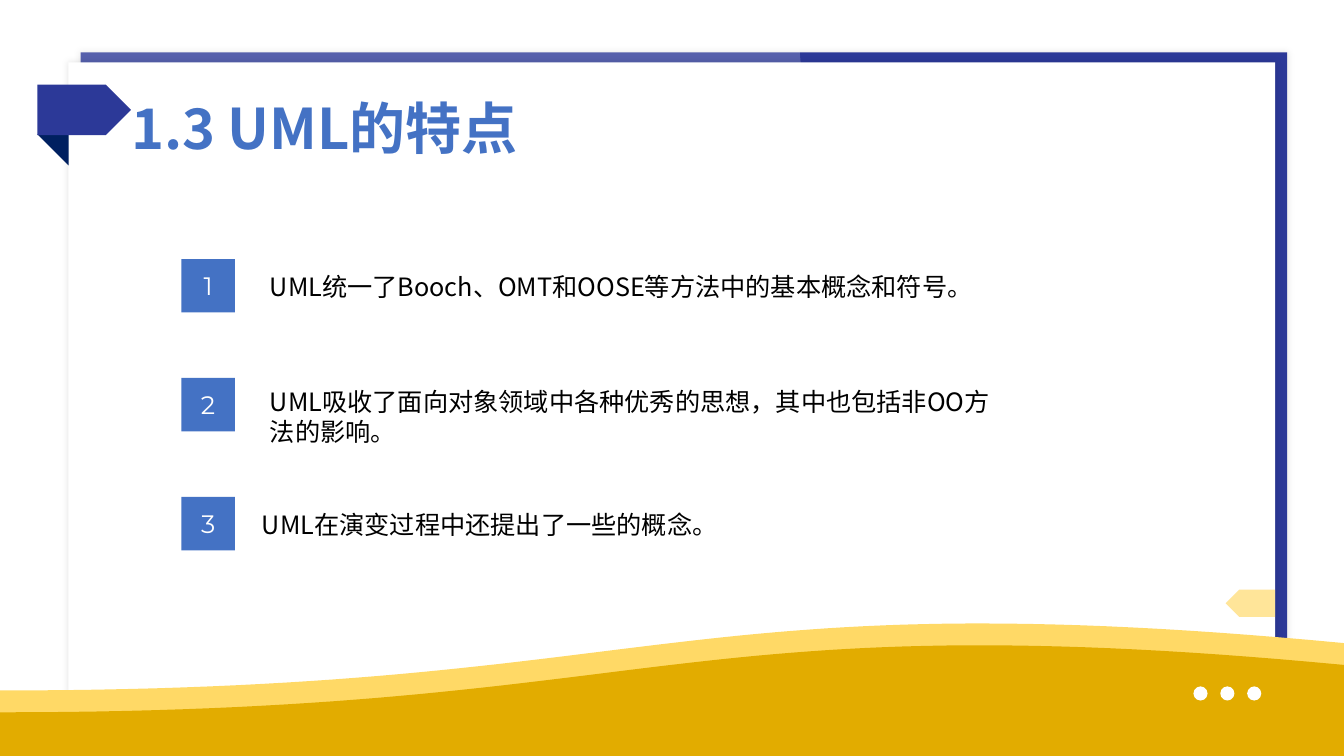
from dataclasses import dataclass

from lxml.etree import SubElement
from pptx import Presentation
from pptx.dml.color import RGBColor
from pptx.enum.shapes import MSO_SHAPE
from pptx.enum.text import MSO_ANCHOR, MSO_AUTO_SIZE, PP_ALIGN
from pptx.oxml.ns import qn
from pptx.util import Pt

COLUMNS, ROWS = 40, 22.5


@dataclass(frozen=True)
class Theme:
    """Colours, fonts and type sizes of the slide."""
    white: str = "FFFFFF"
    black: str = "000000"
    indigo: str = "2C3998"
    navy: str = "002060"
    blue: str = "4472C4"
    amber: str = "FFC000"
    light_gold: str = "FFD966"
    gold: str = "E2AC00"
    text_font: str = "Noto Sans CJK SC"
    number_font: str = "Montserrat"
    title_size: int = 40
    body_size: int = 18


def write(frame, text, *, size, color, font, bold=False,
          align=PP_ALIGN.LEFT, anchor=MSO_ANCHOR.TOP, fit=MSO_AUTO_SIZE.NONE):
    """Put one formatted paragraph into a text frame."""
    frame.word_wrap = True
    frame.auto_size = fit
    frame.vertical_anchor = anchor
    paragraph = frame.paragraphs[0]
    paragraph.alignment = align
    run = paragraph.add_run()
    run.text = text
    run.font.size = Pt(size)
    run.font.bold = bold
    run.font.color.rgb = RGBColor.from_string(color)
    run.font.name = font
    SubElement(run.font._element, qn("a:ea"), typeface=font)


class SlideBuilder:
    """Draws themed elements on a slide, measured in grid cells."""

    def __init__(self, deck, theme):
        """Add a title-only slide to the deck."""
        self.theme = theme
        self.cell = deck.slide_width / COLUMNS
        self.slide = deck.slides.add_slide(deck.slide_layouts[5])

    def grid(self, *cells):
        """Turn grid cells into slide lengths."""
        return [round(count * self.cell) for count in cells]

    def paint(self, shape, color, opacity=100):
        """Give a shape a plain fill without outline or shadow."""
        shape.shadow.inherit = False
        shape.line.fill.background()
        shape.fill.solid()
        shape.fill.fore_color.rgb = RGBColor.from_string(color)
        if opacity < 100:
            fill = shape.element.spPr.find(qn("a:solidFill"))
            SubElement(fill[0], qn("a:alpha"), val=str(opacity * 1000))
        return shape

    def block(self, kind, place, color, opacity=100, rotation=0):
        """Add a filled preset shape."""
        shape = self.slide.shapes.add_shape(kind, *self.grid(*place))
        shape.rotation = rotation
        return self.paint(shape, color, opacity)

    def panel(self, place, color):
        """Add a rectangle with a soft shadow."""
        panel = self.block(MSO_SHAPE.RECTANGLE, place, color)
        effects = panel.element.spPr.find(qn("a:effectLst"))
        shadow = SubElement(effects, qn("a:outerShdw"),
                            blurRad=str(Pt(5)), dist="0", algn="ctr")
        tint = SubElement(shadow, qn("a:srgbClr"), val=self.theme.black)
        SubElement(tint, qn("a:alpha"), val="10000")

    def wave(self, heights, color, steps=60):
        """Fill the slide below a cubic curve with the given control rows."""
        def curve(controls, t):
            a, b, c, d = controls
            u = 1 - t
            return a * u**3 + 3 * b * t * u**2 + 3 * c * t**2 * u + d * t**3

        middle = COLUMNS / 2
        crest = [self.grid(curve((0, middle, middle, COLUMNS), i / steps),
                           curve(heights, i / steps)) for i in range(steps + 1)]
        outline = self.slide.shapes.build_freeform(*self.grid(0, ROWS))
        outline.add_line_segments(crest + [self.grid(COLUMNS, ROWS)])
        self.paint(outline.convert_to_shape(), color)

    def title(self, text, place):
        """Place the title in front of the decoration."""
        title = self.slide.shapes.title
        title.left, title.top, title.width, title.height = self.grid(*place)
        title.element.getparent().append(title.element)
        write(title.text_frame, text, size=self.theme.title_size, bold=True,
              color=self.theme.blue, font=self.theme.text_font)

    def number(self, value, place):
        """Add a numbered square."""
        square = self.block(MSO_SHAPE.RECTANGLE, place, self.theme.blue)
        write(square.text_frame, str(value), size=self.theme.body_size,
              color=self.theme.white, font=self.theme.number_font,
              align=PP_ALIGN.CENTER, anchor=MSO_ANCHOR.MIDDLE)

    def statement(self, text, place):
        """Add a line of body text."""
        statement = self.slide.shapes.add_textbox(*self.grid(*place))
        write(statement.text_frame, text, size=self.theme.body_size,
              color=self.theme.black, font=self.theme.text_font,
              fit=MSO_AUTO_SIZE.SHAPE_TO_FIT_TEXT)


def decorate(builder):
    """Draw the frame, waves, dots and ribbons."""
    theme = builder.theme
    builder.panel((2.4, 1.56, 35.91, 18.81), theme.indigo)
    builder.block(MSO_SHAPE.FLOWCHART_DOCUMENT, (3.57, -3.54, 22.47, 29.61),
                  theme.white, opacity=20, rotation=270)
    builder.panel((2.04, 1.86, 35.91, 18.81), theme.white)
    crest = (20.55, 20.55, 17.25, 19.14)
    for drop, color in ((0, theme.light_gold), (0.65, theme.gold)):
        builder.wave([row + drop for row in crest], color)
    for dot in range(3):
        builder.block(MSO_SHAPE.OVAL, (35.52 + 0.8 * dot, 20.43, 0.42, 0.42),
                      theme.white)
    builder.block(MSO_SHAPE.RIGHT_TRIANGLE, (1.11, 3.99, 0.93, 0.93),
                  theme.navy, rotation=180)
    builder.block(MSO_SHAPE.PENTAGON, (1.11, 2.52, 2.79, 1.5), theme.indigo)
    builder.block(MSO_SHAPE.PENTAGON, (36.48, 17.55, 1.47, 0.81),
                  theme.amber, opacity=40, rotation=180)


def main():
    """Build and save the slide."""
    deck = Presentation()
    deck.slide_width, deck.slide_height = Pt(960), Pt(540)
    builder = SlideBuilder(deck, Theme())
    decorate(builder)
    builder.title("1.3 UML的特点", (3.6, 2.64, 13.68, 2.31))
    features = (
        ("UML统一了Booch、OMT和OOSE等方法中的基本概念和符号。",
         (7.74, 7.92, 22.5, 1.2)),
        ("UML吸收了面向对象领域中各种优秀的思想，其中也包括非OO方法的影响。",
         (7.74, 11.34, 22.5, 2.13)),
        ("UML在演变过程中还提出了一些的概念。", (7.5, 15, 14.25, 1.2)),
    )
    for index, (feature, place) in enumerate(features):
        builder.number(index + 1, (5.4, 7.71 + 3.54 * index, 1.59, 1.59))
        builder.statement(feature, place)
    deck.save("out.pptx")


if __name__ == "__main__":
    main()
